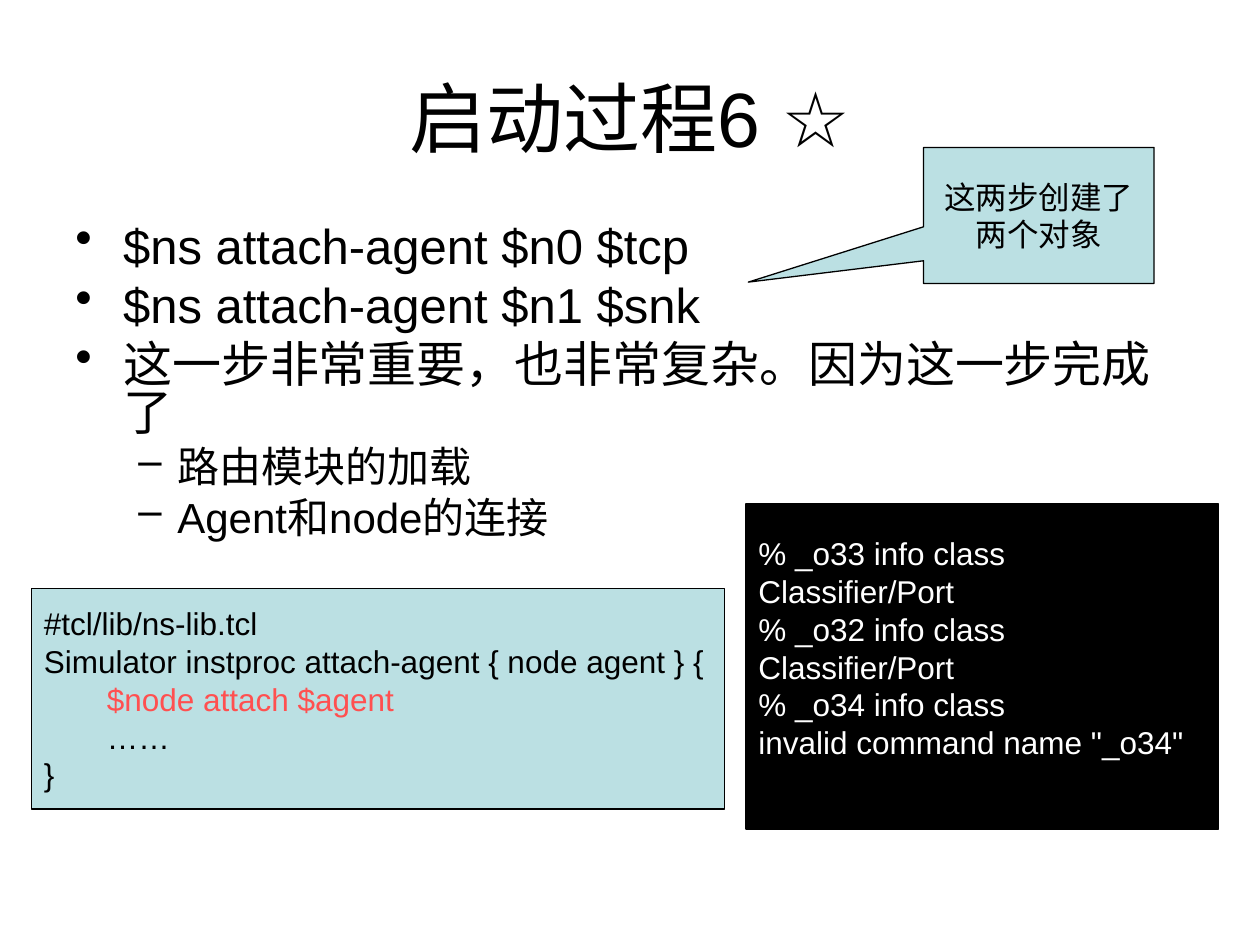
from lxml import etree
from pptx import Presentation
from pptx.dml.color import RGBColor
from pptx.enum.shapes import MSO_SHAPE
from pptx.enum.text import MSO_ANCHOR, PP_ALIGN
from pptx.oxml.ns import qn
from pptx.util import Inches, Pt

BLACK = RGBColor(0x00, 0x00, 0x00)
WHITE = RGBColor(0xFF, 0xFF, 0xFF)
PALE_BLUE = RGBColor(0xBB, 0xE0, 0xE3)
RED = RGBColor(0xFF, 0x50, 0x50)

RECTANGLE = MSO_SHAPE.RECTANGLE
CALLOUT = MSO_SHAPE.RECTANGULAR_CALLOUT
MIDDLE, TOP = MSO_ANCHOR.MIDDLE, MSO_ANCHOR.TOP
LEFT, CENTER = PP_ALIGN.LEFT, PP_ALIGN.CENTER

# Per outline level: bullet, left margin, hanging indent, size, space before
LEVELS = [
    ("•", 0.38, -0.38, 28, 7),
    ("–", 0.81, -0.31, 24, 6),
]


class SlideBuilder:
    font_name = "Arial"
    code_size = 18

    def __init__(self, slide):
        self.slide = slide

    def add_text(self, paragraph, text, size, color=BLACK):
        run = paragraph.add_run()
        run.text = text
        run.font.color.rgb = color
        for name, value in {"name": self.font_name, "size": Pt(size)}.items():
            setattr(run.font, name, value)

    def paragraphs(self, frame, items):
        for index, item in enumerate(items):
            paragraph = frame.paragraphs[0] if index == 0 else frame.add_paragraph()
            yield index, paragraph, item

    def text_box(self, box, anchor):
        shape = self.slide.shapes.add_textbox(*map(Inches, box))
        frame = shape.text_frame
        for name, value in {"word_wrap": True, "vertical_anchor": anchor}.items():
            setattr(frame, name, value)
        return frame

    def title(self, box, text):
        paragraph = self.text_box(box, MIDDLE).paragraphs[0]
        paragraph.alignment = CENTER
        self.add_text(paragraph, text, 44)

    def outline(self, box, items):
        frame = self.text_box(box, TOP)
        for index, paragraph, (level, text) in self.paragraphs(frame, items):
            bullet, margin, indent, size, space = LEVELS[level]
            properties = paragraph._p.get_or_add_pPr()
            properties.set("marL", str(Inches(margin)))
            properties.set("indent", str(Inches(indent)))
            etree.SubElement(properties, qn("a:buChar"), char=bullet)
            formats = {"level": level, "line_spacing": 0.8,
                       "space_before": Pt(space if index else 0)}
            for name, value in formats.items():
                setattr(paragraph, name, value)
            self.add_text(paragraph, text, size)

    def panel(self, kind, box, fill, lines, color=BLACK, alignment=LEFT,
              wrap=False, bottom=0.05):
        """Draw a filled shape; each line is a (text, color) pair or plain text."""
        shape = self.slide.shapes.add_shape(kind, *map(Inches, box))
        shape.shadow.inherit = False
        shape.fill.solid()
        shape.fill.fore_color.rgb = fill
        shape.line.color.rgb = BLACK
        shape.line.width = Pt(0.75)
        frame = shape.text_frame
        formats = {"word_wrap": wrap, "vertical_anchor": MIDDLE,
                   "margin_bottom": Inches(bottom)}
        for name, value in formats.items():
            setattr(frame, name, value)
        for _, paragraph, line in self.paragraphs(frame, lines):
            text, text_color = (line, color) if isinstance(line, str) else line
            paragraph.alignment = alignment
            self.add_text(paragraph, text, self.code_size, text_color)
        return shape


def main():
    presentation = Presentation()
    presentation.slide_width = Inches(10)
    presentation.slide_height = Inches(7.5)
    builder = SlideBuilder(presentation.slides.add_slide(presentation.slide_layouts[6]))

    # Title and outline
    builder.title((0.5, 0.3, 9, 1.25), "启动过程6 ☆")
    builder.outline((0.5, 1.75, 9, 2.83), [
        (0, "$ns attach-agent $n0 $tcp"),
        (0, "$ns attach-agent $n1 $snk"),
        (0, "这一步非常重要，也非常复杂。因为这一步完成了"),
        (1, "路由模块的加载"),
        (1, "Agent和node的连接"),
    ])

    # Source code
    builder.panel(RECTANGLE, (0.25, 4.67, 5.5, 1.75), PALE_BLUE, [
        "#tcl/lib/ns-lib.tcl",
        "Simulator instproc attach-agent { node agent } {",
        ("\t$node attach $agent", RED),
        "\t……",
        "}",
    ])

    # Console output, raised by one line
    builder.panel(RECTANGLE, (5.92, 4, 3.75, 2.58), BLACK, [
        "% _o33 info class",
        "Classifier/Port",
        "% _o32 info class",
        "Classifier/Port",
        "% _o34 info class",
        'invalid command name "_o34"',
    ], color=WHITE, bottom=0.35)

    # Callout pointing at the two commands
    callout = builder.panel(CALLOUT, (7.33, 1.17, 1.83, 1.08), PALE_BLUE,
                            ["这两步创建了两个对象"], alignment=CENTER, wrap=True)
    callout.adjustments[0] = -1.26
    callout.adjustments[1] = 0.49

    presentation.save("out.pptx")


if __name__ == "__main__":
    main()
